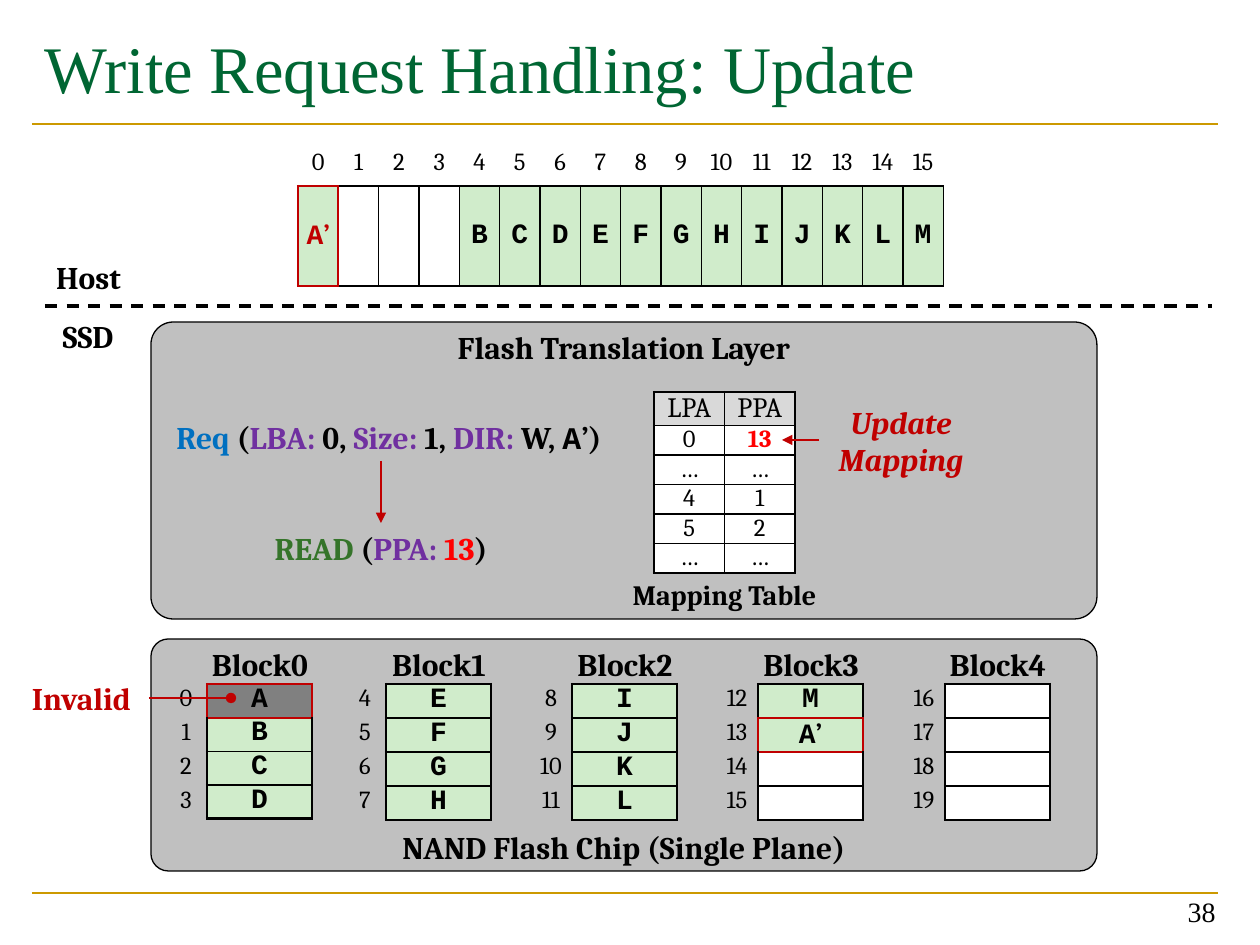
from pptx import Presentation
from pptx.dml.color import RGBColor as RGB
from pptx.enum.dml import MSO_LINE as Dash
from pptx.enum.shapes import MSO_CONNECTOR as Link, MSO_SHAPE as Form
from pptx.enum.text import MSO_ANCHOR as Anchor, PP_ALIGN as Align
from pptx.oxml.ns import qn
from pptx.util import Emu, Pt
from lxml.etree import SubElement as Sub

SCALE = 914400 / 126
SERIF, MONO, TIMES = "Cambria", "Courier New", "Times New Roman"
BLACK, WHITE, RED, HOT = "000000", "FFFFFF", "C00000", "FF0000"
GREEN, GRAY, GOLD, PURPLE = "D0ECCB", "C0C0C0", "CC9900", "7030A0"
PLAIN = "{2D5ABB26-0587-4C30-8999-92F81FD0307C}"
SIDES = {"L": (0, -1), "R": (0, 1), "T": (-1, 0), "B": (1, 0)}


def px(*vals):
    return [Emu(round(v * SCALE)) for v in vals]


def tint(code):
    return RGB.from_string(code)


def data(text, hot=False):
    if not text:
        return [], WHITE, 14, False, hot
    color = RED if text == "A’" and not hot else BLACK
    runs = [(c, color, SERIF if c == "’" else MONO) for c in text]
    return runs, GREEN, 16, True, hot


def note(text, fill=None, size=14, color=BLACK, bold=False):
    return [(text, color, SERIF)], fill, size, bold, False


class Deck:
    """Holds the style and the current slide."""

    def __init__(self):
        self.prs = Presentation()
        self.prs.slide_width, self.prs.slide_height = px(1260, 945)
        self.slide = self.prs.slides.add_slide(self.prs.slide_layouts[5])
        self.shapes = self.slide.shapes

    def put(self, frame, runs, size=18, bold=True, slant=False, align=Align.CENTER):
        para = frame.paragraphs[0]
        para.alignment = align
        for text, color, face in runs:
            if text == "\n":
                para.add_line_break()
                continue
            run = para.add_run()
            run.text = text
            font = run.font
            font.name, font.size, font.bold, font.italic = face, Pt(size), bold, slant
            font.color.rgb = tint(color)
        if not runs:
            Sub(para._p, qn("a:endParaRPr"), sz=str(size * 100))

    def title(self, text, box):
        head = self.shapes.title
        head.left, head.top, head.width, head.height = px(*box)
        head.text_frame.vertical_anchor = Anchor.TOP
        self.put(head.text_frame, [(text, "006633", TIMES)], 38, False, align=Align.LEFT)

    def label(self, box, runs, size=18, wrap=False, anchor=Anchor.MIDDLE, **style):
        shape = self.shapes.add_textbox(*px(*box))
        frame = shape.text_frame
        frame.word_wrap, frame.vertical_anchor = wrap, anchor
        self.put(frame, runs, size, **style)
        return shape

    def panel(self, box, text, anchor):
        shape = self.shapes.add_shape(Form.ROUNDED_RECTANGLE, *px(*box))
        shape.adjustments[0] = 0.075
        shape.shadow.inherit = False
        shape.fill.solid()
        shape.fill.fore_color.rgb = tint(GRAY)
        shape.line.color.rgb = tint(BLACK)
        shape.line.width = Pt(0.75)
        frame = shape.text_frame
        frame.margin_left = frame.margin_right = frame.margin_top = frame.margin_bottom = 0
        frame.vertical_anchor = anchor
        self.put(frame, [(text, BLACK, SERIF)])

    def line(self, ends, color, width, tail=None, dash=None):
        link = self.shapes.add_connector(Link.STRAIGHT, *px(*ends))
        link.line.color.rgb = tint(color)
        link.line.width = Pt(width)
        if dash:
            link.line.dash_style = dash
        if tail:
            Sub(link._element.spPr.find(qn("a:ln")), qn("a:tailEnd"), type=tail)
        Sub(link._element.spPr, qn("a:effectLst"))
        return link

    def edge(self, cell, side, color, width):
        props = cell._tc.get_or_add_tcPr()
        line = Sub(props, qn("a:ln" + side), w=str(int(Pt(width))))
        Sub(Sub(line, qn("a:solidFill")), qn("a:srgbClr"), val=color)

    def grid(self, x, y, width, highs, rows, rim=None, head=False):
        """Add a table; rim is the outer line width, head leaves row 0 open."""
        rowct, colct = len(rows), len(rows[0])
        frame = self.shapes.add_table(rowct, colct, *px(x, y, width, sum(highs)))
        table = frame.table
        table.first_row = table.horz_banding = False
        table._tbl.tblPr.find(qn("a:tableStyleId")).text = PLAIN
        for r, row in enumerate(rows):
            table.rows[r].height = px(highs[r])[0]
            for c, (runs, fill, size, bold, hot) in enumerate(row):
                cell = table.cell(r, c)
                cell.margin_left = cell.margin_right = cell.margin_top = cell.margin_bottom = 0
                cell.vertical_anchor = Anchor.MIDDLE if head else Anchor.TOP
                for side, (down, over) in SIDES.items():
                    if not rim or (head and r == 0 and side != "B"):
                        continue
                    i, j = r + down, c + over
                    inside = 0 <= i < rowct and 0 <= j < colct
                    if hot or (inside and rows[i][j][4]):
                        self.edge(cell, side, RED, 1.5)
                    else:
                        self.edge(cell, side, BLACK, 1 if inside else rim)
                if fill:
                    cell.fill.solid()
                    cell.fill.fore_color.rgb = tint(fill)
                else:
                    cell.fill.background()
                self.put(cell.text_frame, runs, size, bold)


def main():
    deck = Deck()
    for y in (893, 124):
        deck.line((32, y, 1218, y), GOLD, 1.5)
    deck.title("Write Request Handling: Update", (32, 21, 1187, 147))
    deck.label((934, 871, 294, 63), [("38", BLACK, TIMES)], 16, True, Anchor.BOTTOM,
               bold=False, align=Align.RIGHT)
    deck.panel((151, 639, 946, 232), "NAND Flash Chip (Single Plane)", Anchor.BOTTOM)
    deck.panel((151, 322, 946, 297), "Flash Translation Layer", Anchor.TOP)

    blocks = [(207, "ABCD"), (386, "EFGH"), (572, "IJKL"),
              (758, ["M", "A’", "", ""]), (945, [""] * 4)]
    for n, (x, texts) in enumerate(blocks):
        cells = [[data(text, text == "A’")] for text in texts]
        if n == 0:
            cells[0] = [([("A", BLACK, MONO)], "808080", 16, True, True)]
        deck.grid(x, 684, 105, [34 if n else 32] * 4, cells, 1.5)
        deck.grid(x - 41, 684, 40, [34] * 4, [[note(str(4 * n + k))] for k in range(4)])
        deck.label((x - 10, 639, 126, 50), [(f"Block{n}", BLACK, SERIF)])

    host = [data(text) for text in ["A’", "", "", "", *"BCDEFGHIJKLM"]]
    host[0] = (*host[0][:4], True)
    deck.grid(298, 139, 646, [47, 100], [[note(str(n), WHITE) for n in range(16)], host],
              1, True)
    deck.line((45, 306, 1212, 306), BLACK, 1.75, dash=Dash.DASH)
    deck.label((42, 252, 93, 50), [("Host", BLACK, SERIF)])
    deck.label((48, 311, 80, 50), [("SSD", BLACK, SERIF)])

    parts = [("Req ", "0070C0"), ("(", BLACK), ("LBA:", PURPLE), (" 0, ", BLACK),
             ("Size:", PURPLE), (" 1, ", BLACK), ("DIR:", PURPLE), (" W, ", BLACK)]
    ask = [(*part, SERIF) for part in parts]
    deck.label((110, 412, 558, 50), ask + [("A", BLACK, MONO), ("’)", BLACK, SERIF)])
    parts = [("READ ", "35742A"), ("(", BLACK), ("PPA: ", PURPLE), ("13", HOT), (")", BLACK)]
    read = deck.label((190, 523, 382, 50), [(*part, SERIF) for part in parts])
    deck.line((381, 461, 381, 523), RED, 1.25, "triangle").end_connect(read, 0)

    pairs = [("0", "13"), ("…", "…"), ("4", "1"), ("5", "2"), ("…", "…")]
    rows = [[note(text, "D9D9D9", 16) for text in ("LPA", "PPA")]]
    rows += [[note(text, WHITE, 14, HOT if text == "13" else BLACK, text == "13")
              for text in pair] for pair in pairs]
    deck.grid(654, 392, 141, [33] + [29] * 5, rows, 1.5)
    deck.label((616, 571, 217, 47), [("Mapping Table", BLACK, SERIF)], 16)

    stale = deck.label((14, 673, 135, 50), [("Invalid", RED, SERIF)])
    deck.line((149, 698, 231, 698), RED, 1.25, "oval").begin_connect(stale, 3)
    deck.line((819, 440, 782, 440), RED, 1.25, "triangle")
    deck.label((809, 396, 184, 89), [(text, RED, SERIF) for text in ("Update", "\n", "Mapping")],
               slant=True)
    deck.prs.save("out.pptx")


if __name__ == "__main__":
    main()
